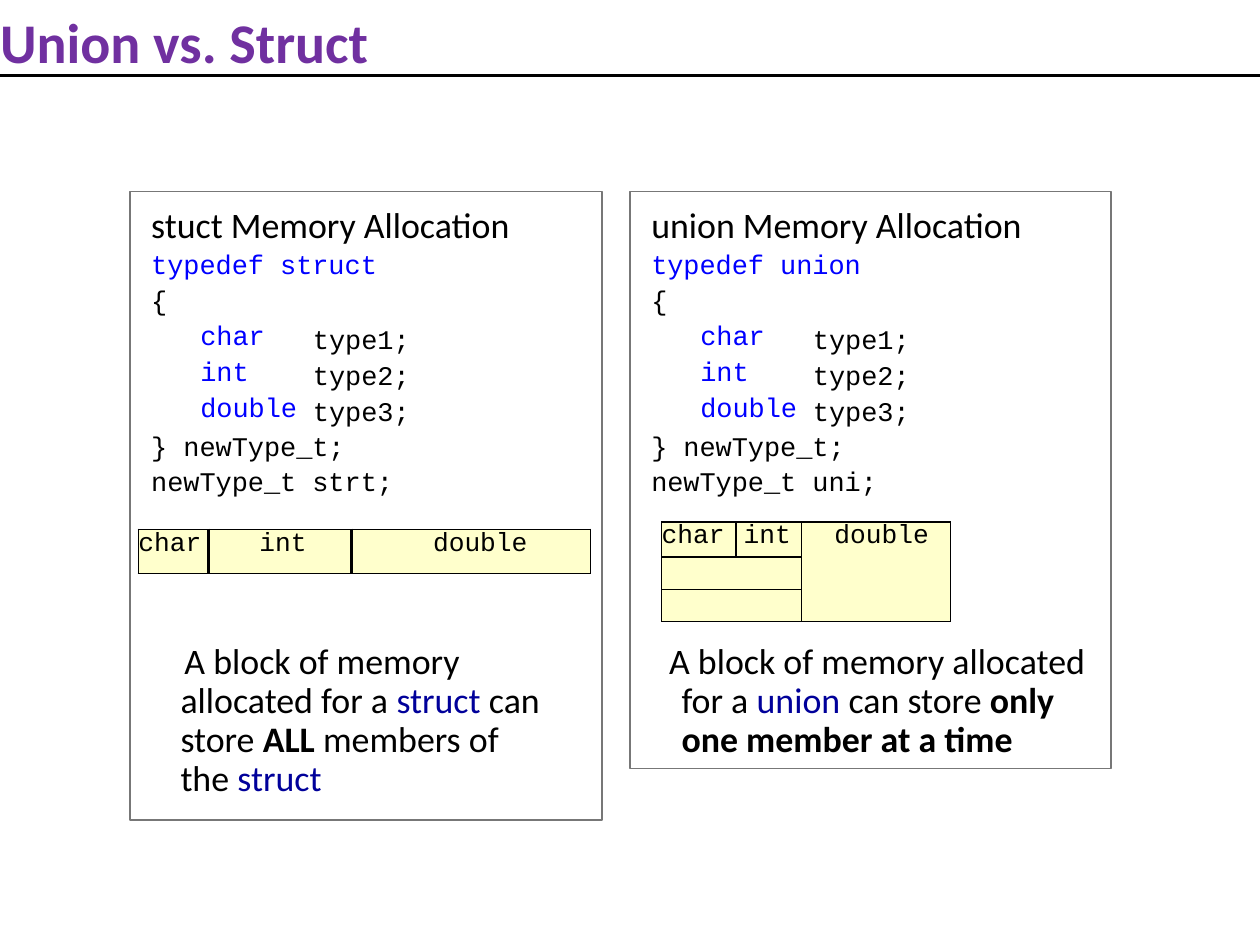
from lxml.etree import SubElement
from pptx import Presentation
from pptx.dml.color import RGBColor
from pptx.enum.shapes import MSO_CONNECTOR, MSO_SHAPE
from pptx.enum.text import MSO_ANCHOR, PP_ALIGN
from pptx.oxml.ns import qn
from pptx.util import Cm, Pt

BLACK = RGBColor(0, 0, 0)
GREY = RGBColor(0x77, 0x77, 0x77)
PURPLE = RGBColor(0x70, 0x30, 0xA0)
BLUE = RGBColor(0, 0, 0xFF)
NAVY = RGBColor(0, 0, 0x9A)
CREAM = RGBColor(0xFF, 0xFF, 0xCC)
SANS, MONO = "Calibri", "Courier New"
CODE_SIZE, CELL_SIZE, BODY_SIZE = 15.4, 15, 20.5


def write(p, text, font=SANS, size=BODY_SIZE, color=BLACK, bold=False,
          margin=0, indent=0, spacing=None, before=0):
    """Add a run to a paragraph and set the paragraph's layout."""
    r = p.add_run()
    r.text = text
    r.font.name, r.font.size, r.font.bold = font, Pt(size), bold
    r.font.color.rgb = color
    p.alignment = PP_ALIGN.LEFT
    p.space_before = Pt(before)
    if spacing:
        p.line_spacing = spacing
    pPr = p._p.get_or_add_pPr()
    pPr.set("marL", str(Cm(margin)))
    pPr.set("indent", str(Cm(indent)))


def clear_margins(tf):
    tf.margin_left = tf.margin_right = tf.margin_top = tf.margin_bottom = 0


def add_text(slide, x, y, w, h, paragraphs):
    """Each paragraph is a list of (text, format) runs."""
    tf = slide.shapes.add_textbox(Cm(x), Cm(y), Cm(w), Cm(h)).text_frame
    tf.word_wrap = True
    clear_margins(tf)
    for i, runs in enumerate(paragraphs):
        p = tf.add_paragraph() if i else tf.paragraphs[0]
        for text, fmt in runs:
            write(p, text, **fmt)


def add_code(slide, x, y, w, h, lines):
    add_text(slide, x, y, w, h,
             [[(text, dict(font=MONO, size=CODE_SIZE, **fmt))] for text, fmt in lines])


def add_border(cell, side, width):
    tcPr = cell._tc.get_or_add_tcPr()
    ln = SubElement(tcPr, qn("a:ln" + side), w=str(Pt(width)))
    fill = SubElement(ln, qn("a:solidFill"))
    SubElement(fill, qn("a:srgbClr"), val=str(BLACK))


def add_memory(slide, x, y, cols, rows, indents, divider=1, merges=()):
    """Memory blocks: the type names fill the first row."""
    table = slide.shapes.add_table(len(rows), len(cols), Cm(x), Cm(y),
                                   Cm(sum(cols)), Cm(sum(rows))).table
    table.first_row = table.horz_banding = False
    for col, w in zip(table.columns, cols):
        col.width = Cm(w)
    for row, h in zip(table.rows, rows):
        row.height = Cm(h)
    last = len(cols) - 1
    for r in range(len(rows)):
        for c in range(len(cols)):
            cell = table.cell(r, c)
            clear_margins(cell)
            add_border(cell, "L", divider if c else 1)
            add_border(cell, "R", divider if c < last else 1)
            add_border(cell, "T", 1)
            add_border(cell, "B", 1)
            cell.fill.solid()
            cell.fill.fore_color.rgb = CREAM
            p = cell.text_frame.paragraphs[0]
            if r == 0:
                write(p, ("char", "int", "double")[c], font=MONO,
                      size=CELL_SIZE, margin=indents[c])
            else:
                p._p.get_or_add_endParaRPr().set("sz", str(CELL_SIZE * 100))
    for first, end in merges:
        table.cell(*first).merge(table.cell(*end))


def add_title(slide, width):
    title = slide.shapes.title
    title.left, title.top, title.width, title.height = Cm(0), Cm(0.13), Cm(12.3), Cm(1.37)
    tf = title.text_frame
    clear_margins(tf)
    tf.vertical_anchor = MSO_ANCHOR.BOTTOM
    write(tf.paragraphs[0], "Union vs. Struct", size=32, color=PURPLE, bold=True)
    # Rule under the title
    rule = slide.shapes.add_connector(MSO_CONNECTOR.STRAIGHT, 0, Cm(1.52), width, Cm(1.52))
    rule.line.color.rgb = BLACK
    rule.line.width = Pt(1.5)
    SubElement(rule._element.spPr, qn("a:effectLst"))


def add_panel(slide, x, y, w, h, keyword, heading, variable, memory, note):
    # Frame
    sp = slide.shapes.add_shape(MSO_SHAPE.RECTANGLE, Cm(x), Cm(y), Cm(w), Cm(h))
    sp.shadow.inherit = False
    sp.fill.background()
    sp.line.color.rgb = GREY
    sp.line.width = Pt(0.75)
    # Heading
    left = x + 0.43
    add_text(slide, left, y + 0.23, 7.5, 0.89, [[(heading + " Memory Allocation", {})]])
    # Type definition
    member = dict(color=BLUE, margin=0.99, spacing=1.11)
    add_code(slide, left, y + 1.13, 4.6, 2.84,
             [("typedef " + keyword, dict(color=BLUE)), ("{", dict(before=1.9)),
              ("char", member), ("int", member)])
    add_code(slide, x + 3.69, y + 2.57, 2.1, 2.18,
             [(f"type{i};", dict(spacing=1.11)) for i in (1, 2, 3)])
    add_code(slide, x + 1.42, y + 4.01, 2.1, 0.66, [("double", dict(color=BLUE))])
    add_code(slide, left, y + 4.72, 5.64, 1.47,
             [(text, dict(spacing=1.11))
              for text in ("} newType_t;", f"newType_t {variable};")])
    # Memory blocks and note
    dx, dy, blocks = memory
    add_memory(slide, x + dx, y + dy, **blocks)
    dx, note_w, layout, runs = note
    add_text(slide, x + dx, y + 9.12, note_w, 3.15,
             [[(text, dict(spacing=0.9, **layout, **fmt)) for text, fmt in runs]])


def main():
    prs = Presentation()
    prs.slide_width, prs.slide_height = Cm(25.4), Cm(19.05)
    slide = prs.slides.add_slide(prs.slide_layouts[5])
    add_title(slide, prs.slide_width)

    navy, bold = dict(color=NAVY), dict(bold=True)
    add_panel(
        slide, 2.62, 3.86, 9.52, 12.67, "struct", "stuct", "strt",
        (0.17, 6.81, dict(cols=[1.42, 2.87, 4.82], rows=[0.89],
                          indents=[0, 1.02, 1.65], divider=2)),
        (1.02, 7.34, dict(indent=0.08),
         [("A block of memory allocated for a ", {}), ("struct ", navy),
          ("can store ", {}), ("ALL ", bold), ("members of the ", {}),
          ("struct", navy)]))
    add_panel(
        slide, 12.7, 3.86, 9.7, 11.63, "union", "union", "uni",
        (0.64, 6.66, dict(cols=[1.5, 1.32, 3], rows=[0.71, 0.65, 0.65],
                          indents=[0, 0.15, 0.66],
                          merges=[((0, 2), (2, 2)), ((1, 0), (1, 1)), ((2, 0), (2, 1))])),
        (0.76, 8.46, dict(margin=0.28, indent=-0.25),
         [("A block of memory allocated for a ", {}), ("union ", navy),
          ("can store ", {}), ("only one member at a time", bold)]))
    prs.save("out.pptx")


if __name__ == "__main__":
    main()
